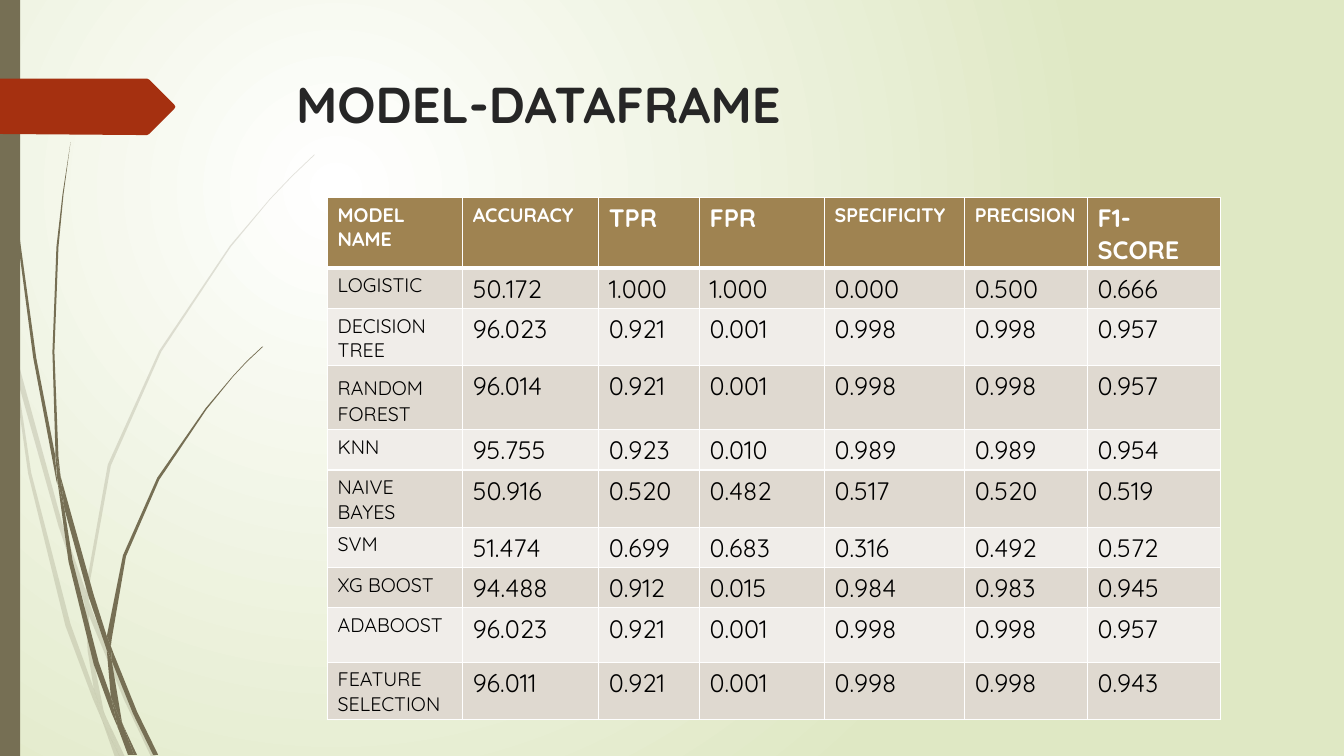
"""Build a slide with a table of classifier scores beside a decoration of grass blades."""
from lxml import etree
from pptx import Presentation
from pptx import util as u
from pptx.dml.color import RGBColor
from pptx.enum import shapes, text
from pptx.oxml.ns import qn

FONT = "Quicksand"
OLIVE = RGBColor(0x76, 0x6F, 0x54)
RUST = RGBColor(0xA5, 0x30, 0x10)
CHARCOAL = RGBColor(0x26, 0x26, 0x26)
BLACK = RGBColor(0, 0, 0)
WHITE = RGBColor(0xFF, 0xFF, 0xFF)
PALE_GREEN = RGBColor(0xDF, 0xE8, 0xC4)
BRONZE = RGBColor(0x9F, 0x83, 0x51)
BANDS = [RGBColor(0xF0, 0xED, 0xE9), RGBColor(0xDF, 0xD9, 0xD0)]
OUTLINE_UNIT = u.Pt(0.72)

FAINT_BLADES = [
    [(11, 350), (9, 322), (0, 282), (0, 299), (10, 344)],
    [(58, 522), (84, 599), (85, 586), (62, 520), (14, 345), (17, 376)],
    [(92, 607), (88, 596), (88, 610), (123, 694), (150, 751), (155, 751), (127, 692)],
    [(119, 751), (124, 751), (105, 711)],
    [(93, 683), (70, 619), (31, 469), (17, 376), (11, 350), (28, 470), (65, 621),
     (92, 693), (101, 714), (99, 707)],
    [(84, 599), (87, 646), (93, 683), (96, 692), (105, 711), (103, 706), (91, 646),
     (88, 610), (88, 608)],
    [(88, 584), (110, 462), (160, 349), (229, 245), (268, 198), (290, 175), (312, 154),
     (312, 153), (289, 175), (268, 197), (228, 244), (158, 348), (107, 461), (85, 584),
     (85, 586), (88, 596)],
    [(101, 714), (114, 751), (119, 751)],
    [(88, 608), (88, 610), (88, 596), (85, 586), (84, 599)],
    [(96, 692), (93, 683), (99, 707), (101, 714), (119, 751), (105, 711)],
]
SOLID_BLADES = [
    [(7, 110), (17, 233), (33, 355), (56, 477), (57, 481), (55, 457), (55, 453),
     (36, 355), (19, 232), (8, 109), (5, 48), (4, 0), (3, 0), (4, 48)],
    [(88, 592), (106, 645), (106, 631), (93, 590), (60, 472), (64, 505)],
    [(113, 649), (110, 641), (111, 656), (132, 708), (152, 749), (157, 749), (136, 706)],
    [(110, 691), (98, 657), (72, 556), (64, 505), (57, 477), (68, 557), (93, 659),
     (111, 708), (117, 722), (116, 717)],
    [(60, 472), (58, 453), (54, 349), (58, 245), (63, 193), (70, 141), (62, 193),
     (56, 245), (52, 349), (55, 449)],
    [(133, 749), (136, 749), (122, 719)],
    [(57, 477), (64, 505), (60, 472), (55, 449), (55, 453)],
    [(111, 633), (125, 552), (158, 476), (205, 406), (231, 374), (245, 359), (261, 344),
     (260, 344), (245, 358), (231, 373), (204, 405), (156, 474), (122, 551), (106, 631),
     (110, 641)],
    [(117, 722), (127, 749), (131, 749)],
    [(106, 645), (110, 691), (116, 706), (122, 719), (121, 716), (111, 656), (109, 651)],
    [(106, 645), (109, 651), (111, 656), (110, 641), (106, 631)],
    [(116, 706), (110, 691), (116, 717), (117, 722), (130, 749), (133, 749), (122, 719)],
]
ARROW_TAG = [(173, 108), (148, 133), (146, 134), (136, 134), (0, 133), (0, 78),
             (146, 78), (148, 79), (173, 104), (174, 106)]

HEADERS = [("MODEL\nNAME", 14), ("ACCURACY", 14), ("TPR", 18), ("FPR", 18),
           ("SPECIFICITY", 14), ("PRECISION", 14), ("F1-SCORE", 18)]
SCORES = [
    ("LOGISTIC", "50.172", "1.000", "1.000", "0.000", "0.500", "0.666"),
    ("DECISION TREE", "96.023", "0.921", "0.001", "0.998", "0.998", "0.957"),
    ("RANDOM FOREST", "96.014", "0.921", "0.001", "0.998", "0.998", "0.957"),
    ("KNN", "95.755", "0.923", "0.010", "0.989", "0.989", "0.954"),
    ("NAIVE BAYES", "50.916", "0.520", "0.482", "0.517", "0.520", "0.519"),
    ("SVM", "51.474", "0.699", "0.683", "0.316", "0.492", "0.572"),
    ("XG BOOST", "94.488", "0.912", "0.015", "0.984", "0.983", "0.945"),
    ("ADABOOST", "96.023", "0.921", "0.001", "0.998", "0.998", "0.957"),
    ("FEATURE SELECTION", "96.011", "0.921", "0.001", "0.998", "0.998", "0.943"),
]
COLUMN_WIDTHS = [96.5, 97.2, 72, 89.3, 100.1, 87.8, 95]
ROW_HEIGHTS = [48.2, 27.4, 38.9, 43.9, 27.4, 38.9, 27.4, 27.4, 38.9, 38.9]


def write_text(frame, content, size, color, bold=False, space_size=None):
    """Fill a text frame, one paragraph a line, with an optional size for spaces."""
    for index, line in enumerate(content.split("\n")):
        paragraph = frame.add_paragraph() if index else frame.paragraphs[0]
        pieces = line.replace(" ", "| |").split("|") if space_size else [line]
        for piece in pieces:
            run = paragraph.add_run()
            run.text = piece
            run.font.name = FONT
            run.font.size = u.Pt(space_size if piece == " " else size)
            run.font.bold = bold
            run.font.color.rgb = color


def draw_outline(slide, points, color, opacity=100):
    """Draw a closed outline given in hundredths of an inch."""
    builder = slide.shapes.build_freeform(*points[0], scale=OUTLINE_UNIT)
    builder.add_line_segments(points[1:], close=True)
    shape = builder.convert_to_shape()
    shape.shadow.inherit = False
    shape.line.fill.background()
    shape.fill.solid()
    shape.fill.fore_color.rgb = color
    if opacity < 100:
        fill_color = shape._element.spPr.find(qn("a:solidFill"))[0]
        etree.SubElement(fill_color, qn("a:alpha"), val=str(opacity * 1000))


presentation = Presentation()
presentation.slide_width = u.Pt(960)
presentation.slide_height = u.Pt(540)
slide = presentation.slides.add_slide(presentation.slide_layouts[6])

background = slide.background.fill
background.gradient()
for stop, color, position in zip(background.gradient_stops, [WHITE, PALE_GREEN], [0, 1]):
    stop.color.rgb = color
    stop.position = position
linear = next(slide._element.iter(qn("a:lin")))
radial = etree.Element(qn("a:path"), path="circle")
etree.SubElement(radial, qn("a:fillToRect"), l="50000", t="50000", r="100000", b="100000")
linear.getparent().replace(linear, radial)

for blades, opacity in [(FAINT_BLADES, 20), (SOLID_BLADES, 100)]:
    for blade in blades:
        draw_outline(slide, blade, OLIVE, opacity)

side_bar = slide.shapes.add_shape(
    shapes.MSO_SHAPE.RECTANGLE, u.Pt(0), u.Pt(0), u.Pt(14.4), u.Pt(540))
side_bar.shadow.inherit = False
side_bar.fill.solid()
side_bar.fill.fore_color.rgb = OLIVE
side_bar.line.fill.background()
draw_outline(slide, ARROW_TAG, RUST)

title = slide.shapes.add_textbox(u.Pt(204.5), u.Pt(49), u.Pt(702), u.Pt(100.8))
title.text_frame.word_wrap = True
title.text_frame.vertical_anchor = text.MSO_ANCHOR.TOP
write_text(title.text_frame, "MODEL-DATAFRAME", size=36, color=CHARCOAL, bold=True)

table = slide.shapes.add_table(
    len(ROW_HEIGHTS), len(COLUMN_WIDTHS),
    u.Pt(234), u.Pt(141.1), u.Pt(sum(COLUMN_WIDTHS)), u.Pt(sum(ROW_HEIGHTS))).table
for column, width in zip(table.columns, COLUMN_WIDTHS):
    column.width = u.Pt(width)
for row, height in zip(table.rows, ROW_HEIGHTS):
    row.height = u.Pt(height)

for column_index, (label, size) in enumerate(HEADERS):
    write_text(table.cell(0, column_index).text_frame, label, size=size, color=WHITE, bold=True)
for row_index, scores in enumerate(SCORES, start=1):
    for column_index, value in enumerate(scores):
        write_text(table.cell(row_index, column_index).text_frame, value,
                   size=18 if column_index else 14, color=BLACK,
                   space_size=18 if value == "RANDOM FOREST" else None)

for row_index, row in enumerate(table.rows):
    for cell in row.cells:
        cell.fill.solid()
        cell.fill.fore_color.rgb = BANDS[row_index % 2] if row_index else BRONZE
        properties = cell._tc.get_or_add_tcPr()
        for order, side in enumerate(["lnL", "lnR", "lnT", "lnB"]):
            thick = (row_index, side) in [(0, "lnB"), (1, "lnT")]
            border = etree.Element(qn(f"a:{side}"), w=str(u.Pt(3 if thick else 1)))
            border_fill = etree.SubElement(border, qn("a:solidFill"))
            etree.SubElement(border_fill, qn("a:srgbClr"), val=str(WHITE))
            properties.insert(order, border)

presentation.save("out.pptx")
